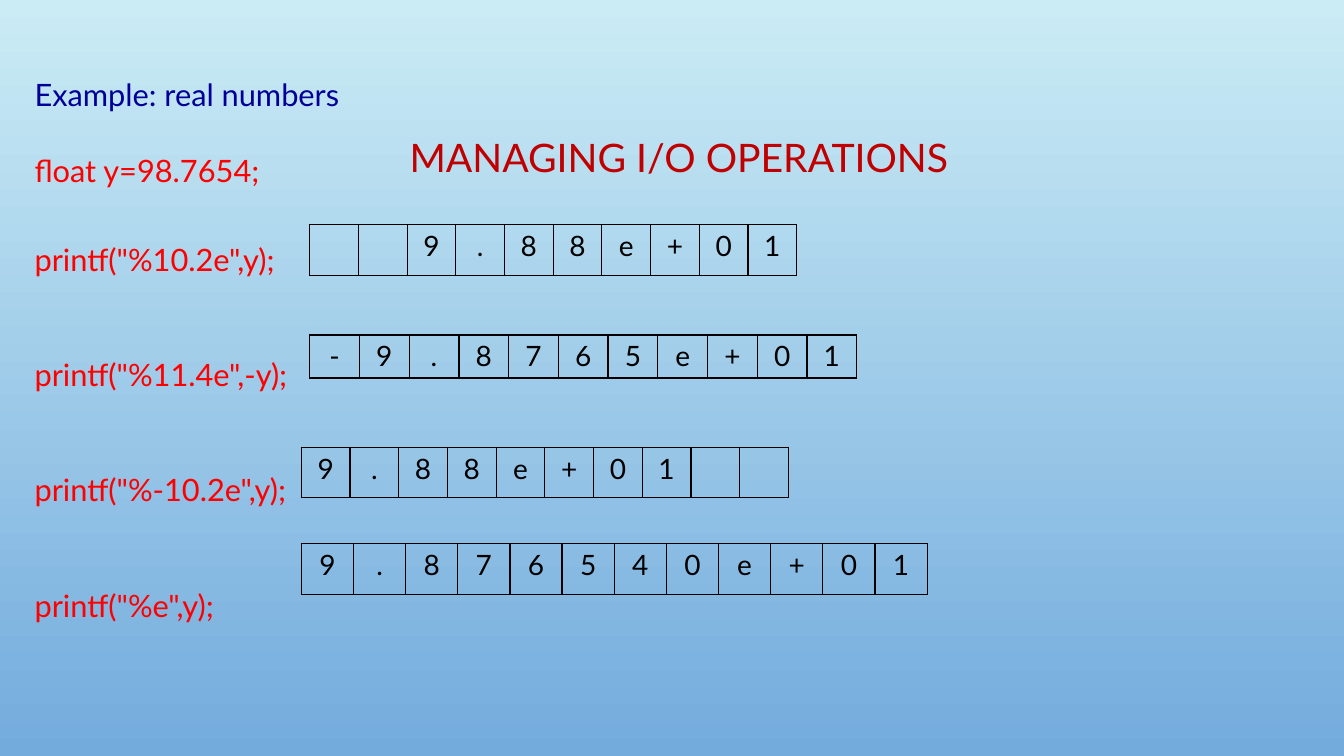
from lxml import etree
from pptx import Presentation
from pptx.dml.color import RGBColor
from pptx.enum.text import MSO_ANCHOR, PP_ALIGN
from pptx.oxml.ns import qn
from pptx.util import Pt

PX = 9525  # EMU per px, 96 px to the inch
FONT = "Lato"
CENTER, LEFT = PP_ALIGN.CENTER, PP_ALIGN.LEFT
TOP, MIDDLE = MSO_ANCHOR.TOP, MSO_ANCHOR.MIDDLE

SKY_LIGHT = RGBColor(0xCB, 0xEC, 0xF5)
SKY_DEEP = RGBColor(0x73, 0xAB, 0xDD)
TITLE_RED = RGBColor(0xC0, 0x00, 0x00)
CODE_RED = RGBColor(0xFF, 0x00, 0x00)
NAVY = RGBColor(0x00, 0x00, 0x99)
BLACK = RGBColor(0x00, 0x00, 0x00)

# Text, colour, space before in points
CODE_LINES = [
    ("Example: real numbers", NAVY, 0),
    ("float y=98.7654;", CODE_RED, 28),
    ('printf("%10.2e",y);', CODE_RED, 37),
    ('printf("%11.4e",-y);', CODE_RED, 56),
    ('printf("%-10.2e",y);', CODE_RED, 56),
    ('printf("%e",y);', CODE_RED, 56),
]

# Printed characters, one to a cell, and the box (left, top, width, height)
OUTPUT_FIELDS = [
    ("  9.88e+01", (295, 214, 464, 48)),
    ("-9.8765e+01", (295, 319, 521, 41)),
    ("9.88e+01  ", (287, 426, 464, 48)),
    ("9.876540e+01", (287, 518, 596, 48)),
]


def set_all(target, values):
    for name, value in values.items():
        setattr(target, name, value)


def write(paragraph, text, size, color, space=0, align=LEFT):
    run = paragraph.add_run()
    run.text = text
    set_all(paragraph, {"alignment": align, "space_before": Pt(space)})
    set_all(run.font, {"name": FONT, "size": Pt(size)})
    run.font.color.rgb = color


def add_text_frame(slide, box, anchor):
    frame = slide.shapes.add_textbox(*(value * PX for value in box)).text_frame
    set_all(frame, {"word_wrap": True, "vertical_anchor": anchor,
                    "margin_left": 0, "margin_right": 0,
                    "margin_top": PX, "margin_bottom": 0})
    return frame


def paint_background(slide):
    fill = slide.background.fill
    fill.gradient()
    fill.gradient_angle = 270
    for stop, color, position in zip(fill.gradient_stops, (SKY_LIGHT, SKY_DEEP), (0, 1)):
        stop.color.rgb = color
        stop.position = position


def add_title(slide, box):
    frame = add_text_frame(slide, box, MIDDLE)
    frame.margin_left = 13 * PX
    write(frame.paragraphs[0], "MANAGING I/O OPERATIONS", 28, TITLE_RED, align=CENTER)


def add_code(slide, box):
    frame = add_text_frame(slide, box, TOP)
    frame.margin_left = PX
    for index, (text, color, space) in enumerate(CODE_LINES):
        paragraph = frame.add_paragraph() if index else frame.paragraphs[0]
        write(paragraph, text, 22, color, space)


def add_borders(cell):
    properties = cell._tc.get_or_add_tcPr()
    for side in ("a:lnL", "a:lnR", "a:lnT", "a:lnB"):
        line = etree.SubElement(properties, qn(side), w=str(Pt(1)))
        fill = etree.SubElement(line, qn("a:solidFill"))
        etree.SubElement(fill, qn("a:srgbClr"), val=str(BLACK))


def add_output_field(slide, characters, box):
    left, top, width, height = (value * PX for value in box)
    count = len(characters)
    table = slide.shapes.add_table(1, count, left, top, width, height).table
    set_all(table, {"first_row": False, "horz_banding": False})
    for column, cell, character in zip(table.columns, table.rows[0].cells, characters):
        column.width = width // count
        add_borders(cell)
        cell.fill.background()
        if character != " ":
            set_all(cell, {"margin_left": 0, "margin_right": 0,
                           "margin_top": 4 * PX, "margin_bottom": 0})
            write(cell.text_frame.paragraphs[0], character, 20, BLACK, 3, CENTER)


def main():
    presentation = Presentation()
    set_all(presentation, {"slide_width": 1280 * PX, "slide_height": 720 * PX})
    slide = presentation.slides.add_slide(presentation.slide_layouts[6])
    paint_background(slide)
    add_title(slide, (96, 65, 1088, 168))
    add_code(slide, (32, 71, 293, 507))
    for characters, box in OUTPUT_FIELDS:
        add_output_field(slide, characters, box)
    presentation.save("out.pptx")


if __name__ == "__main__":
    main()
